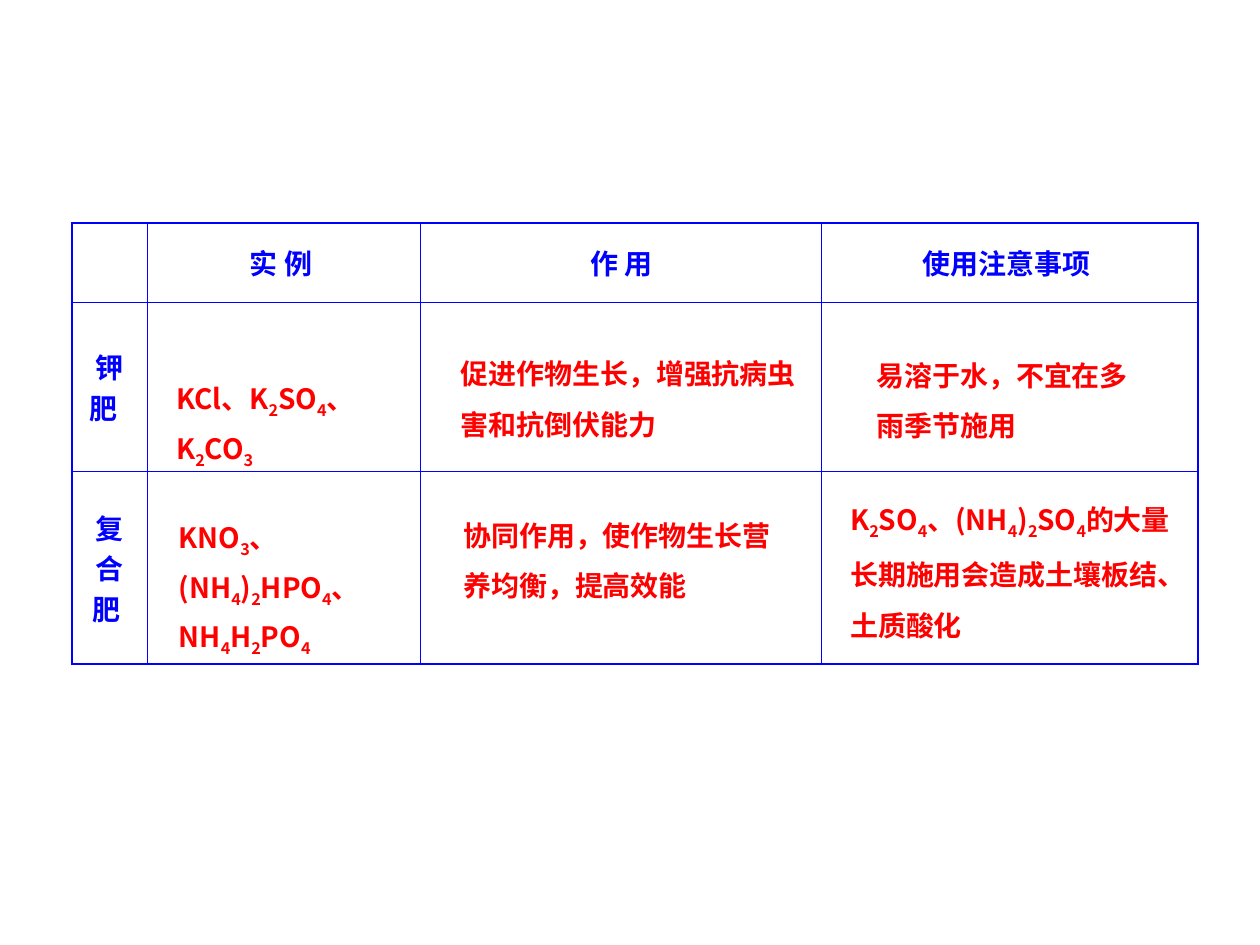
import dataclasses

import lxml.etree
import pptx
import pptx.dml.color
import pptx.enum.text
import pptx.oxml.ns
import pptx.util

Inches = pptx.util.Inches
Pt = pptx.util.Pt
qn = pptx.oxml.ns.qn


@dataclasses.dataclass(frozen=True)
class Theme:
    """Hold the colours, font and sizes of the slide."""
    blue: str = "0000FF"
    red: str = "FF0000"
    font: str = "Noto Sans CJK SC"
    size: float = 16
    thick: float = 1.08
    thin: float = 0.45


THEME = Theme()
COLS = [0.6, 2.17, 3.18, 2.99]
ROWS = [0.63, 1.34, 1.53]
HEADS = ["", "实 例 ", "作 用", "使用注意事项 "]
LABELS = ["钾肥  ", "复合肥 "]
NOTES = [
    (1.3, 2.89, 2.07, 0.89, 1.3, "KCl、K_2SO_4、K_2CO_3"),
    (3.56, 2.65, 2.94, 0.9, 1.5, "促进作物生长，增强抗病虫\n害和抗倒伏能力"),
    (6.86, 2.66, 2.31, 0.9, 1.5, "易溶于水，不宜在多\n雨季节施用"),
    (1.32, 3.99, 2.32, 0.89, 1.3, "KNO_3、(NH_4)_2HPO_4、\nNH_4H_2PO_4"),
    (3.58, 3.93, 2.78, 0.9, 1.5, "协同作用，使作物生长营\n养均衡，提高效能"),
    (6.65, 3.79, 2.8, 1.36, 1.5,
     "K_2SO_4、(NH_4)_2SO_4的大量长期施用会造成土壤板结、土质酸化"),
]


def add_run(para, text, color, sub=False):
    """Add one bold run, lowered when it is a subscript."""
    run = para.add_run()
    run.text = text
    run.font.size = Pt(THEME.size)
    run.font.bold = True
    run.font.name = THEME.font
    run.font.color.rgb = pptx.dml.color.RGBColor.from_string(color)
    props = run._r.get_or_add_rPr()
    east = lxml.etree.SubElement(props, qn("a:ea"))
    east.set("typeface", THEME.font)
    if sub:
        props.set("baseline", "-25000")


def write(frame, text, color=THEME.red, align=None, lines=None, before=None):
    """Write lines of text, where an underscore lowers the next character."""
    for index, line in enumerate(text.split("\n")):
        para = frame.add_paragraph() if index else frame.paragraphs[0]
        para.alignment = align
        para.line_spacing = lines
        para.space_before = before
        first, *parts = line.split("_")
        add_run(para, first, color)
        for part in parts:
            add_run(para, part[0], color, sub=True)
            if part[1:]:
                add_run(para, part[1:], color)


def add_edge(cell, side, width):
    """Draw one border of a cell."""
    props = cell._tc.get_or_add_tcPr()
    line = lxml.etree.SubElement(props, qn(f"a:ln{side}"), w=str(Pt(width)))
    fill = lxml.etree.SubElement(line, qn("a:solidFill"))
    lxml.etree.SubElement(fill, qn("a:srgbClr"), val=THEME.blue)


def add_grid(slide):
    """Add the table with its headings and row labels."""
    size = len(ROWS), len(COLS)
    shape = slide.shapes.add_table(
        *size, Inches(0.57), Inches(1.77), Inches(sum(COLS)), Inches(sum(ROWS)))
    table = shape.table
    table.first_row = table.horz_banding = False
    for col, width in zip(table.columns, COLS):
        col.width = Inches(width)
    for row, height in zip(table.rows, ROWS):
        row.height = Inches(height)
    texts = [HEADS] + [[label, "", "", ""] for label in LABELS]
    for r, row in enumerate(texts):
        for c, text in enumerate(row):
            cell = table.cell(r, c)
            outer = {"L": c == 0, "R": c == size[1] - 1,
                     "T": r == 0, "B": r == size[0] - 1}
            for side, edge in outer.items():
                add_edge(cell, side, THEME.thick if edge else THEME.thin)
            cell.fill.background()
            cell.vertical_anchor = pptx.enum.text.MSO_ANCHOR.MIDDLE
            if text:
                write(cell.text_frame, text, color=THEME.blue,
                      align=pptx.enum.text.PP_ALIGN.CENTER)


def add_note(slide, left, top, width, height, lines, text):
    """Add one wrapped text box over the table."""
    box = slide.shapes.add_textbox(*map(Inches, (left, top, width, height)))
    frame = box.text_frame
    frame.word_wrap = True
    frame.auto_size = pptx.enum.text.MSO_AUTO_SIZE.SHAPE_TO_FIT_TEXT
    write(frame, text, lines=lines)


def main():
    """Build the slide and save it."""
    deck = pptx.Presentation()
    deck.slide_width, deck.slide_height = Inches(10), Inches(7.5)
    slide = deck.slides.add_slide(deck.slide_layouts[6])
    add_grid(slide)
    for note in NOTES:
        add_note(slide, *note)
    deck.save("out.pptx")


if __name__ == "__main__":
    main()
